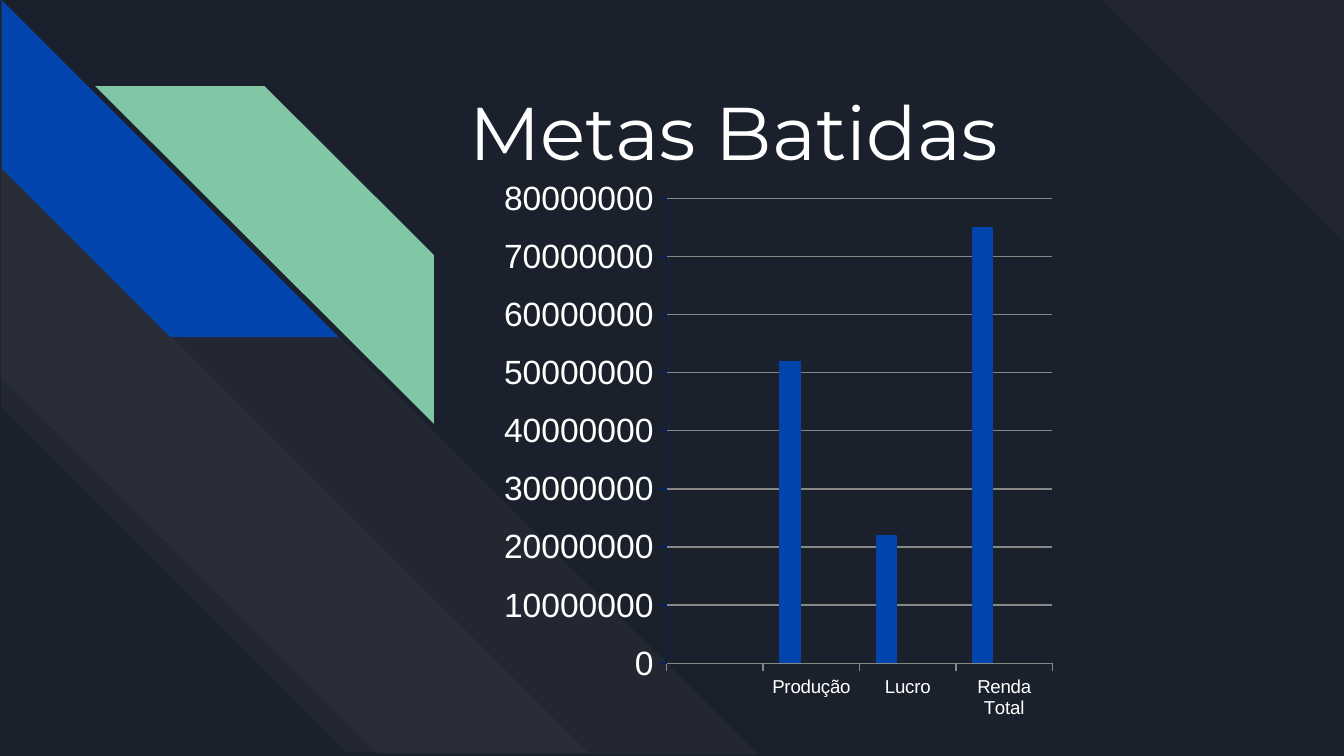
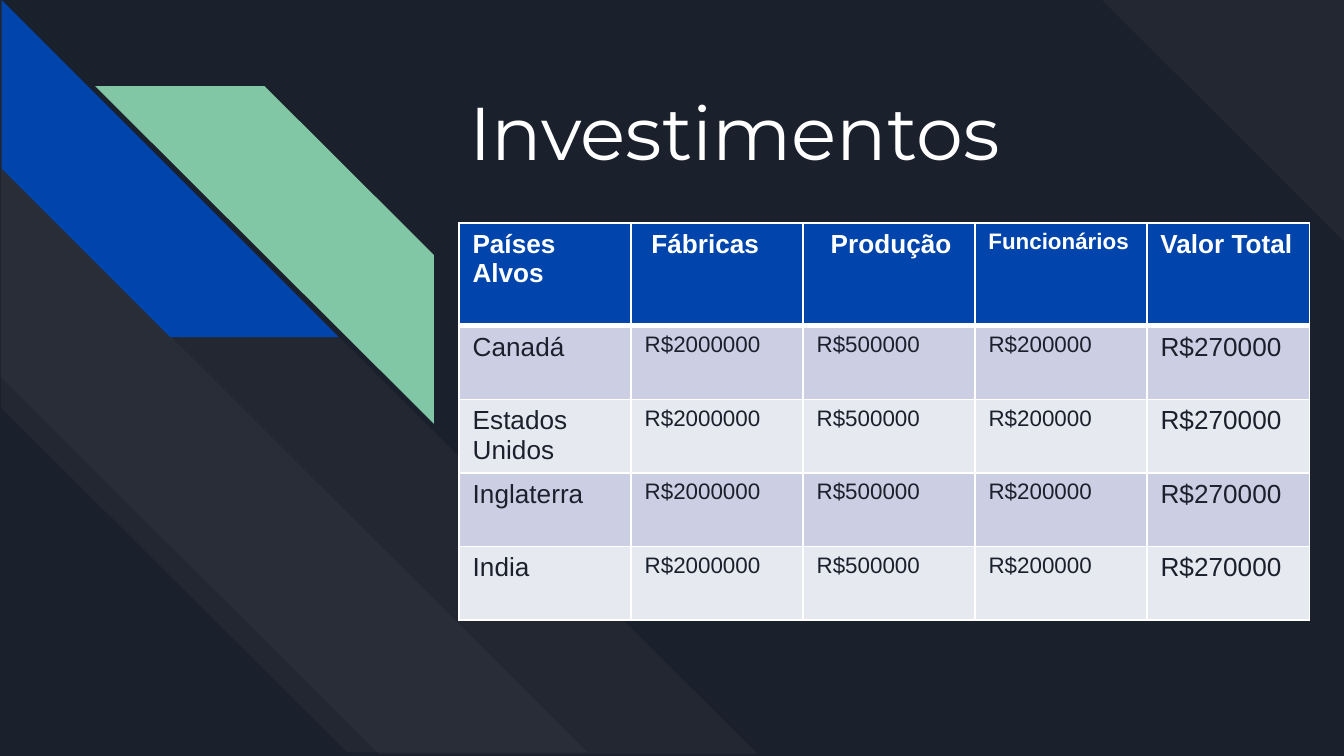
from lxml import etree
from pptx import Presentation
from pptx.chart.data import CategoryChartData as ChartData
from pptx.dml.color import RGBColor
from pptx.enum.chart import XL_CHART_TYPE as ChartType, XL_TICK_MARK as Tick
from pptx.enum.shapes import MSO_SHAPE as Shape
from pptx.enum.text import MSO_ANCHOR as Anchor, MSO_AUTO_SIZE as AutoSize, PP_ALIGN as Align
from pptx.oxml.ns import qn
from pptx.util import Cm, Pt

# Palette and fonts
NIGHT, WHITE, BLUE, GREEN = "1B212C", "FFFFFF", "0145AC", "82C7A5"
YELLOW, SLATE, NAVY, GREY = "EECE1A", "4E5567", "002060", "878787"
BAND_DARK, BAND_LIGHT = "CCCFE3", "E7E9F1"
TITLE_FONT, BODY_FONT = "Montserrat", "Arial"

# Background stripes: left, top, width, height, rotation, adjustment, colour, opacity %
STRIPES = [
    (20.83, 0, 4.57, 4.57, 90, 0, WHITE, 3),
    (0.04, -0.03, 14.25, 14.31, 270, 0.5, WHITE, 3),
    (0.04, 3.15, 11.05, 11.09, 270, 0.59, WHITE, 3),
    (0.03, 0, 6.37, 6.37, 270, 0.5, BLUE, 100),
    (1.81, 1.62, 6.38, 6.4, 90, 0.5, GREEN, 100),
]


def rgb(colour):
    return RGBColor.from_string(colour)


def lengths(*values):
    return [Cm(value) for value in values]


def style_font(font, size, colour, name=BODY_FONT, bold=False):
    font.size, font.name, font.bold = Pt(size), name, bold
    font.color.rgb = rgb(colour)


def write_text(frame, text, align=Align.LEFT, **font_format):
    """Write one paragraph per line of text."""
    for index, line in enumerate(text.split("\n")):
        paragraph = frame.paragraphs[0] if index == 0 else frame.add_paragraph()
        paragraph.alignment = align
        run = paragraph.add_run()
        run.text = line
        style_font(run.font, **font_format)


def set_line(line, colour, width=0.75):
    line.color.rgb, line.width = rgb(colour), Pt(width)


def set_borders(cell, colour, **widths):
    """Draw the cell borders; widths are keyed L, R, T, B, in that order."""
    properties = cell._tc.get_or_add_tcPr()
    for index, (side, width) in enumerate(widths.items()):
        border = etree.Element(qn(f"a:ln{side}"), w=str(Pt(width)))
        fill = etree.SubElement(border, qn("a:solidFill"))
        etree.SubElement(fill, qn("a:srgbClr"), val=colour)
        properties.insert(index, border)


def set_plot_layout(chart, **box):
    """Fix the inner plot area as fractions of the chart."""
    area = chart._chartSpace.chart.plotArea
    for old_layout in area.findall(qn("c:layout")):
        area.remove(old_layout)
    layout = etree.Element(qn("c:layout"))
    manual = etree.SubElement(layout, qn("c:manualLayout"))
    settings = {"layoutTarget": "inner", "xMode": "edge", "yMode": "edge", **box}
    for tag, value in settings.items():
        etree.SubElement(manual, qn(f"c:{tag}"), val=str(value))
    area.insert(0, layout)


class Deck:
    def __init__(self):
        self.presentation = Presentation()
        self.presentation.slide_width, self.presentation.slide_height = lengths(25.4, 14.29)
        self.slide = None

    def add_slide(self, title):
        self.slide = self.presentation.slides.add_slide(self.presentation.slide_layouts[5])
        fill = self.slide.background.fill
        fill.solid()
        fill.fore_color.rgb = rgb(NIGHT)
        for stripe in STRIPES:
            self.add_stripe(*stripe)
        self.place_title(title)

    def add_stripe(self, left, top, width, height, rotation, adjustment, colour, opacity):
        shape = self.slide.shapes.add_shape(
            Shape.DIAGONAL_STRIPE, *lengths(left, top, width, height))
        shape.shadow.inherit = False
        shape.rotation = rotation
        shape.adjustments[0] = adjustment
        shape.line.fill.background()
        shape.fill.solid()
        shape.fill.fore_color.rgb = rgb(colour)
        if opacity < 100:
            colour_node = shape._element.spPr.find(qn("a:solidFill"))[0]
            etree.SubElement(colour_node, qn("a:alpha"), val=str(opacity * 1000))

    def place_title(self, text):
        title = self.slide.shapes.title
        title.left, title.top, title.width, title.height = lengths(8.62, 1.38, 14.71, 3.4)
        frame = title.text_frame
        frame.auto_size, frame.word_wrap = AutoSize.NONE, True
        frame.vertical_anchor = Anchor.TOP
        frame.margin_left = frame.margin_right = Cm(0.25)
        frame.margin_top = frame.margin_bottom = Cm(0.25)
        write_text(frame, text, size=40, colour=WHITE, name=TITLE_FONT)

    def add_column_chart(self, box, plot_box, categories, series):
        """Both boxes are left, top, width, height; plot_box lies within box."""
        data = ChartData()
        data.categories = categories
        for name, values, _ in series:
            data.add_series(name, values)
        chart = self.slide.shapes.add_chart(
            ChartType.COLUMN_CLUSTERED, *lengths(*box), data).chart
        chart.has_title = chart.has_legend = False
        style_font(chart.font, 18, NIGHT)
        left, top, width, height = plot_box
        set_plot_layout(chart, x=left / box[2], y=top / box[3],
                        w=width / box[2], h=height / box[3])

        # Columns
        plot = chart.plots[0]
        plot.gap_width, plot.overlap, plot.vary_by_categories = 150, 0, False
        for columns, (_, _, colour) in zip(plot.series, series):
            columns.format.fill.solid()
            columns.format.fill.fore_color.rgb = rgb(colour)

        # Axes
        for axis, size, colour in ((chart.category_axis, 10, GREY),
                                   (chart.value_axis, 18, NAVY)):
            axis.major_tick_mark, axis.minor_tick_mark = Tick.OUTSIDE, Tick.NONE
            style_font(axis.tick_labels.font, size, WHITE)
            set_line(axis.format.line, colour)
        chart.value_axis.has_major_gridlines = True
        set_line(chart.value_axis.major_gridlines.format.line, GREY)

    def add_table(self, left, top, column_widths, row_heights, rows, sizes, header_indents):
        table = self.slide.shapes.add_table(
            len(rows), len(column_widths),
            *lengths(left, top, sum(column_widths), sum(row_heights))).table
        table.horz_banding = False
        for column, width in zip(table.columns, column_widths):
            column.width = Cm(width)
        for row_index, (row, height) in enumerate(zip(rows, row_heights)):
            table.rows[row_index].height = Cm(height)
            header = row_index == 0
            band = BLUE if header else (BAND_LIGHT, BAND_DARK)[row_index % 2]
            for column_index, text in enumerate(row):
                cell = table.cell(row_index, column_index)
                cell.fill.solid()
                cell.fill.fore_color.rgb = rgb(band)
                if header:
                    cell.margin_left = Cm(0.25 + header_indents[column_index])
                write_text(cell.text_frame, text, bold=header,
                           size=sizes[header][column_index],
                           colour=WHITE if header else NIGHT)
                set_borders(cell, WHITE, L=1, R=1, T=3 if row_index == 1 else 1,
                            B=3 if header else 1)


def main():
    deck = Deck()

    # Goals reached
    deck.add_slide("Metas Batidas")
    deck.add_column_chart(
        box=(8.48, 3.28, 13.61, 10.52),
        plot_box=(4.12, 0.47, 7.29, 8.79),
        categories=["", "Produção", "Lucro", "Renda Total"],
        series=[
            ("Series 1", [None, 52000000, 22000000, 75000000], BLUE),
            ("Series 2", [None] * 4, YELLOW),
            ("Series 3", [None] * 4, SLATE),
        ])

    # Investments by country
    deck.add_slide("Investimentos")
    amounts = ["R$2000000", "R$500000", "R$200000", "R$270000"]
    countries = ["Canadá", "Estados\nUnidos", "Inglaterra", "India"]
    deck.add_table(
        left=8.68, top=4.21,
        column_widths=[3.25] * 4 + [3.07],
        row_heights=[1.95] + [1.39] * 4,
        rows=[["Países Alvos", "Fábricas", "Produção", "Funcionários", "Valor Total"]]
        + [[country, *amounts] for country in countries],
        sizes={True: [14, 14, 14, 12, 14], False: [14, 12, 12, 12, 14]},
        header_indents=[0, 0.13, 0.27, 0, 0])

    deck.presentation.save("out.pptx")


if __name__ == "__main__":
    main()
